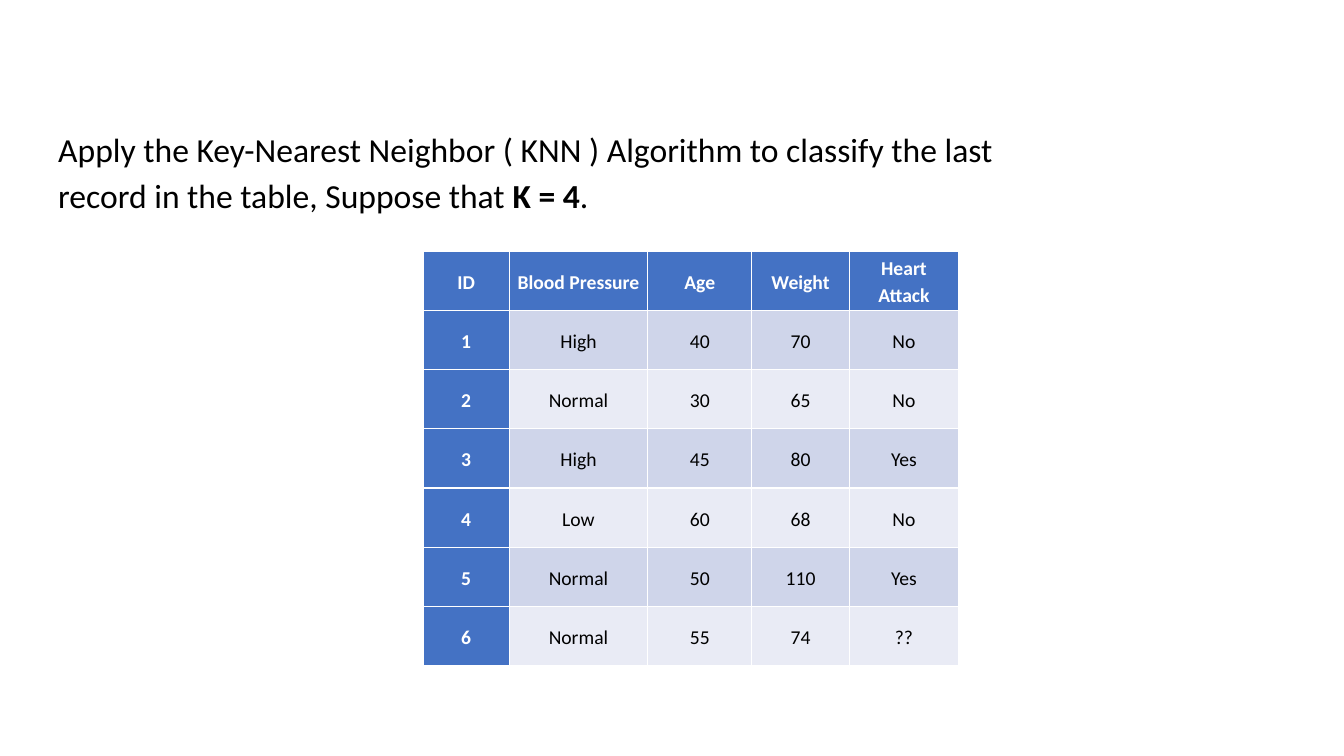
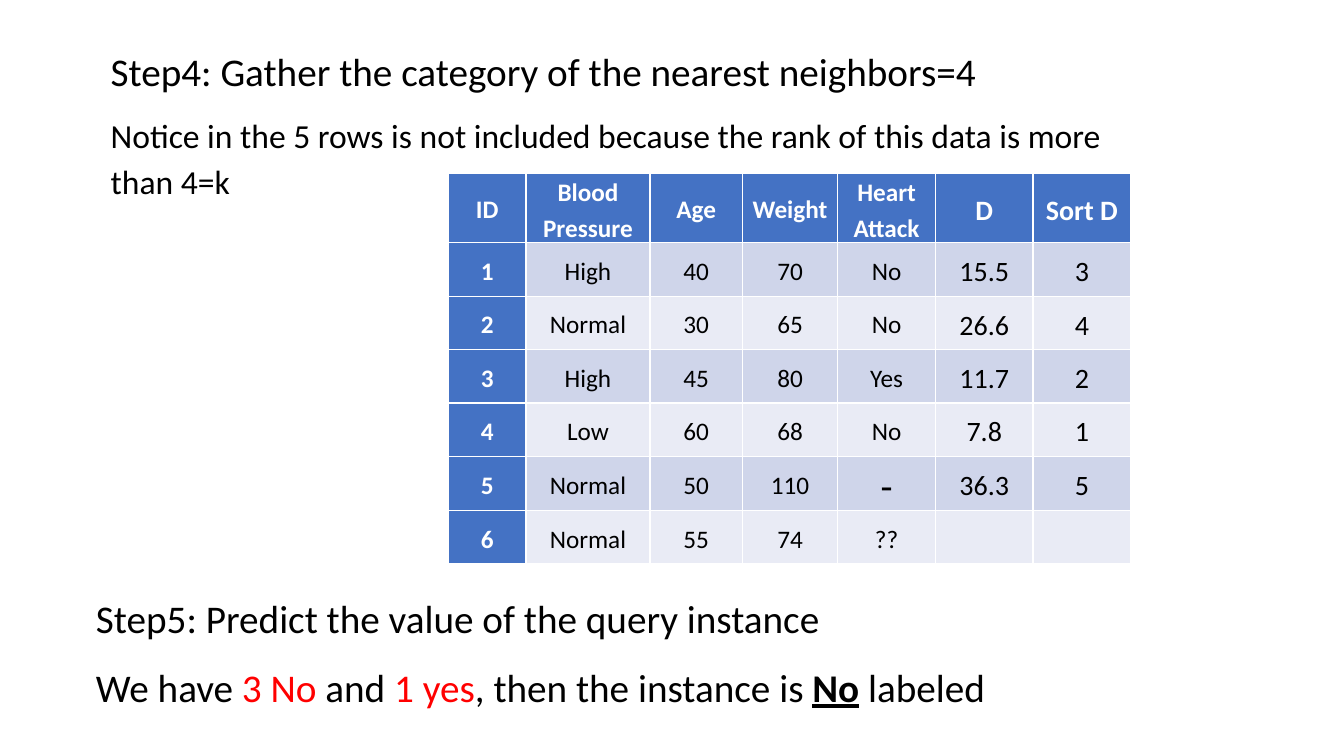
"""Build two slides that classify a record with the KNN algorithm."""
import dataclasses
import typing

import pptx
import pptx.dml.color
import pptx.enum.text
import pptx.slide
import pptx.util

SCALE = 9525
FONT = "Calibri"
BLACK = pptx.dml.color.RGBColor(0x00, 0x00, 0x00)
WHITE = pptx.dml.color.RGBColor(0xFF, 0xFF, 0xFF)
RED = pptx.dml.color.RGBColor(0xFF, 0x00, 0x00)
BLUE = pptx.dml.color.RGBColor(0x44, 0x72, 0xC4)
DARK = pptx.dml.color.RGBColor(0xCF, 0xD5, 0xEA)
LIGHT = pptx.dml.color.RGBColor(0xE9, 0xEB, 0xF5)

HEAD = ("ID", "Blood Pressure", "Age", "Weight", "Heart Attack")
DATA = (
    ("1", "High", "40", "70", "No"),
    ("2", "Normal", "30", "65", "No"),
    ("3", "High", "45", "80", "Yes"),
    ("4", "Low", "60", "68", "No"),
    ("5", "Normal", "50", "110", "Yes"),
    ("6", "Normal", "55", "74", "??"),
)
RANKS = (
    ("15.5", "3"),
    ("26.6", "4"),
    ("11.7", "2"),
    ("7.8", "1"),
    ("36.3", "5"),
    ("", ""),
)


@dataclasses.dataclass(frozen=True)
class Box:
    left: int
    top: int
    width: int
    height: int


@dataclasses.dataclass(frozen=True)
class Run:
    text: str
    color: typing.Optional[pptx.dml.color.RGBColor] = None
    bold: typing.Optional[bool] = None
    under: typing.Optional[bool] = None


@dataclasses.dataclass(frozen=True)
class Line:
    size: int
    runs: tuple[Run, ...]


@dataclasses.dataclass(frozen=True)
class Grid:
    left: int
    top: int
    height: int
    cols: tuple[int, ...]
    sizes: tuple[int, ...]
    rows: tuple[tuple[str, ...], ...]


def px(count: int) -> pptx.util.Emu:
    """Turn px into EMU."""
    return pptx.util.Emu(count * SCALE)


def style(para: typing.Any, size: int, color: pptx.dml.color.RGBColor) -> None:
    """Set the shared font and line spacing of a paragraph."""
    para.line_spacing = 1.15
    para.font.name = FONT
    para.font.size = pptx.util.Pt(size)
    para.font.color.rgb = color


def write(slide: pptx.slide.Slide, box: Box, lines: tuple[Line, ...], wrap: bool = True) -> None:
    """Add a text box with one paragraph for each line."""
    shape = slide.shapes.add_textbox(px(box.left), px(box.top), px(box.width), px(box.height))
    frame = shape.text_frame
    frame.word_wrap = wrap
    frame.auto_size = pptx.enum.text.MSO_AUTO_SIZE.SHAPE_TO_FIT_TEXT
    for index, line in enumerate(lines):
        para = frame.add_paragraph() if index else frame.paragraphs[0]
        style(para, line.size, BLACK)
        para.space_after = pptx.util.Pt(10)
        for part in line.runs:
            run = para.add_run()
            run.text = part.text
            run.font.bold = part.bold
            run.font.underline = part.under
            if part.color is not None:
                run.font.color.rgb = part.color


def fill(cell: typing.Any, text: str, size: int, head: bool, shade: pptx.dml.color.RGBColor) -> None:
    """Fill one table cell."""
    cell.fill.solid()
    cell.fill.fore_color.rgb = BLUE if head else shade
    cell.margin_left = cell.margin_right = px(7)
    cell.margin_top = cell.margin_bottom = 0
    cell.vertical_anchor = pptx.enum.text.MSO_ANCHOR.MIDDLE
    cell.text = text
    para = cell.text_frame.paragraphs[0]
    para.alignment = pptx.enum.text.PP_ALIGN.CENTER
    style(para, size, WHITE if head else BLACK)
    para.font.bold = head


def draw(slide: pptx.slide.Slide, grid: Grid) -> None:
    """Add a table with a blue head row and first column."""
    table = slide.shapes.add_table(
        len(grid.rows), len(grid.cols),
        px(grid.left), px(grid.top), px(sum(grid.cols)), px(grid.height),
    ).table
    table.first_col = True
    for col, width in zip(table.columns, grid.cols):
        col.width = px(width)
    for y, row in enumerate(grid.rows):
        for x, text in enumerate(row):
            size = 28 if text == "-" else grid.sizes[x]
            fill(table.cell(y, x), text, size, x == 0 or y == 0, DARK if y % 2 else LIGHT)


def task(slide: pptx.slide.Slide) -> None:
    """Draw the question and its records."""
    cols = (82, 132, 99, 93, 104)
    draw(slide, Grid(403, 239, 395, cols, (14,) * 5, (HEAD, *DATA)))
    write(slide, Box(46, 112, 986, 96), (
        Line(24, (
            Run("Apply the Key-Nearest Neighbor ( KNN ) Algorithm to classify the last "
                "record in the table, Suppose that "),
            Run("K = 4", bold=True),
            Run("."),
        )),
    ))


def answer(slide: pptx.slide.Slide) -> None:
    """Draw the ranked records and the prediction."""
    ranked = tuple(
        row[:4] + ("-" if rank[1] == "5" else row[4],) + rank
        for row, rank in zip(DATA, RANKS)
    )
    cols = (74, 118, 88, 91, 93, 93, 93)
    sizes = (18,) * 5 + (20,) * 2
    draw(slide, Grid(427, 165, 356, cols, sizes, (HEAD + ("D", "Sort D"), *ranked)))
    write(slide, Box(96, 34, 982, 161), (
        Line(28, (Run("Step4: Gather the category of the nearest neighbors=4"),)),
        Line(24, (Run("Notice in the 5 rows is not included because the rank of this data "
                      "is more than 4=k"),)),
    ))
    write(slide, Box(82, 555, 876, 124), (
        Line(28, (Run("Step5: Predict the value of the query instance"),)),
        Line(28, (
            Run("We have "),
            Run("3 No ", RED),
            Run("and "),
            Run("1 yes", RED),
            Run(", then the instance is "),
            Run("No", bold=True, under=True),
            Run(" labeled"),
        )),
    ), wrap=False)


def main() -> None:
    """Build and save the deck."""
    deck = pptx.Presentation()
    deck.slide_width = px(1280)
    deck.slide_height = px(720)
    for build in (task, answer):
        build(deck.slides.add_slide(deck.slide_layouts[6]))
    deck.save("out.pptx")


if __name__ == "__main__":
    main()
